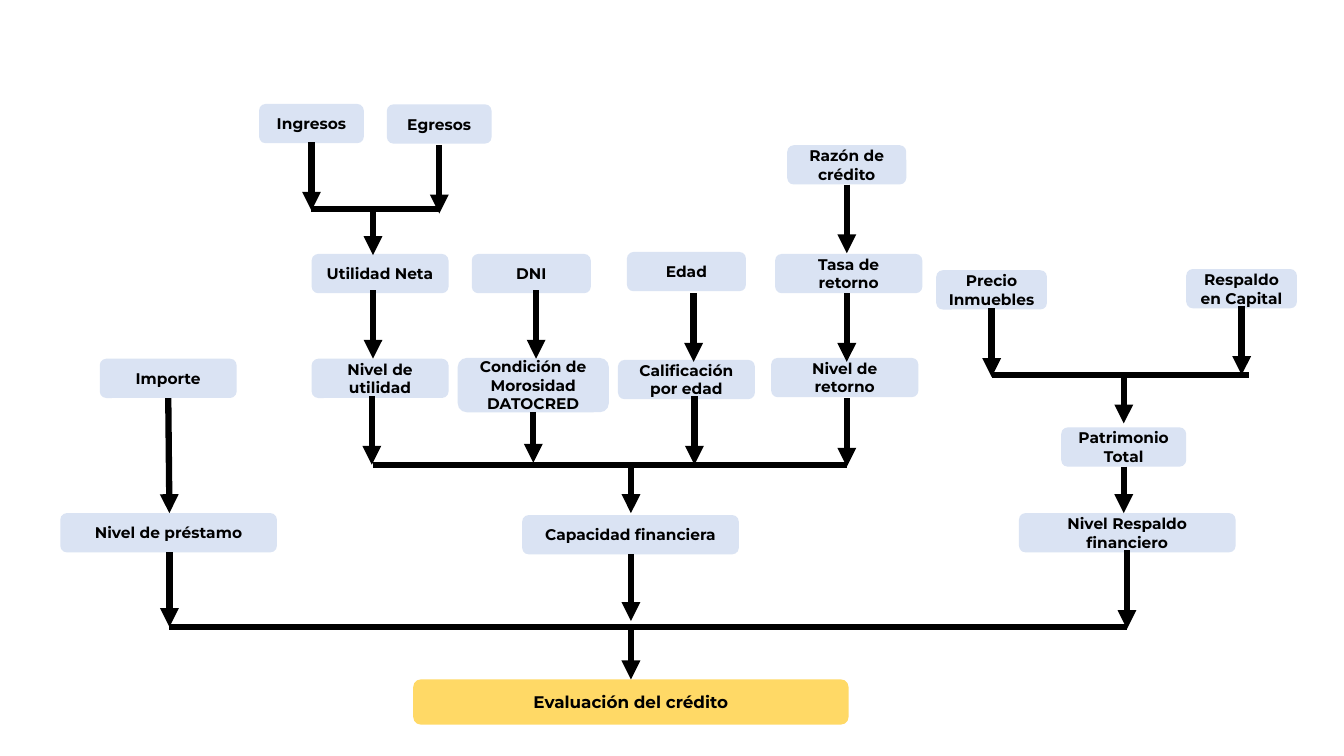
from lxml.etree import SubElement
from pptx import Presentation
from pptx.dml.color import RGBColor
from pptx.enum.shapes import MSO_CONNECTOR, MSO_SHAPE
from pptx.enum.text import MSO_ANCHOR, PP_ALIGN
from pptx.oxml.ns import qn
from pptx.util import Cm, Pt

COLORS = {"factor": "DAE3F3", "result": "FFD966", "ink": "000000"}
FONT = "Montserrat"
BOX_HEIGHT = 0.99

# Text, centre, top, width (cm)
FACTORS = [
    ("Ingresos", 7.85, 2.62, 2.64),
    ("Egresos", 11.07, 2.63, 2.64),
    ("Razón de crédito", 21.34, 3.66, 3.0),
    ("Utilidad Neta", 9.58, 6.4, 3.45),
    ("DNI", 13.39, 6.4, 3.0),
    ("Edad", 17.3, 6.35, 3.0),
    ("Tasa de retorno", 21.39, 6.4, 3.71),
    ("Precio Inmuebles", 24.99, 6.81, 2.79),
    ("Respaldo en Capital", 31.29, 6.78, 2.79),
    ("Importe", 4.24, 9.04, 3.45),
    ("Nivel de utilidad", 9.58, 9.04, 3.45),
    ("Calificación por edad", 17.3, 9.07, 3.45),
    ("Nivel de retorno", 21.29, 9.02, 3.71),
    ("Patrimonio Total", 28.32, 10.77, 3.15),
    ("Nivel de préstamo", 4.25, 12.93, 5.46),
    ("Capacidad financiera", 15.89, 12.98, 5.46),
    ("Nivel Respaldo financiero", 28.41, 12.93, 5.46),
]
CREDIT_RECORD = ("Condición de Morosidad DATOCRED", 13.44, 9.02, 3.81)
EVALUATION = ("Evaluación del crédito", 15.9, 17.12, 10.97)

# Left, right, height on the page (cm)
JOINING_BARS = [
    (7.85, 11.07, 5.26),
    (24.99, 31.47, 9.45),
    (9.4, 21.34, 11.71),
    (4.27, 28.4, 15.8),
]

# Column position: (start, end) of each downward arrow (cm)
ARROWS = {
    4.27: [(13.92, 15.8)],
    7.85: [(3.58, 5.31)],
    9.37: [(9.98, 11.71)],
    9.4: [(5.26, 6.43), (7.32, 9.04)],
    11.07: [(3.66, 5.38)],
    13.44: [(10.39, 11.66)],
    13.51: [(7.32, 9.04)],
    15.9: [(11.76, 12.93), (13.97, 15.65), (15.75, 17.12)],
    17.48: [(7.39, 9.12)],
    17.5: [(9.98, 11.71)],
    21.34: [(4.65, 6.38), (7.39, 9.12), (10.03, 11.76)],
    24.99: [(7.77, 9.5)],
    28.32: [(9.5, 10.67), (11.76, 12.93)],
    28.4: [(13.87, 15.85)],
    31.29: [(7.72, 9.45)],
}
LOAN_ARROW = (4.24, 10.03, 4.27, 12.93)


def add_box(page, text, center, top, width, height=BOX_HEIGHT, fill="factor", size=11):
    """Add a rounded box with bold centred text."""
    box = page.shapes.add_shape(
        MSO_SHAPE.ROUNDED_RECTANGLE,
        Cm(center - width / 2), Cm(top), Cm(width), Cm(height),
    )
    box.shadow.inherit = False
    box.fill.solid()
    box.fill.fore_color.rgb = RGBColor.from_string(COLORS[fill])
    box.line.fill.background()
    frame = box.text_frame
    frame.word_wrap = True
    frame.vertical_anchor = MSO_ANCHOR.MIDDLE
    para = frame.paragraphs[0]
    para.alignment = PP_ALIGN.CENTER
    span = para.add_run()
    span.text = text
    span.font.name = FONT
    span.font.size = Pt(size)
    span.font.bold = True
    span.font.color.rgb = RGBColor.from_string(COLORS["ink"])


def add_line(page, x1, y1, x2, y2, arrow=False):
    """Add a thick straight line, with an arrowhead at its end if asked."""
    line = page.shapes.add_connector(
        MSO_CONNECTOR.STRAIGHT, Cm(x1), Cm(y1), Cm(x2), Cm(y2)
    )
    line.line.width = Pt(4.5)
    line.line.color.rgb = RGBColor.from_string(COLORS["ink"])
    if arrow:
        SubElement(line.line._get_or_add_ln(), qn("a:tailEnd"), type="triangle")
    SubElement(line._element.spPr, qn("a:effectLst"))


deck = Presentation()
deck.slide_width, deck.slide_height = Cm(33.87), Cm(19.05)
page = deck.slides.add_slide(deck.slide_layouts[6])

for factor in FACTORS:
    add_box(page, *factor)
add_box(page, *CREDIT_RECORD, height=1.37)
add_box(page, *EVALUATION, height=1.14, fill="result", size=12)

for left, right, level in JOINING_BARS:
    add_line(page, left, level, right, level)
for column, spans in ARROWS.items():
    for start, end in spans:
        add_line(page, column, start, column, end, arrow=True)
add_line(page, *LOAN_ARROW, arrow=True)

deck.save("out.pptx")
